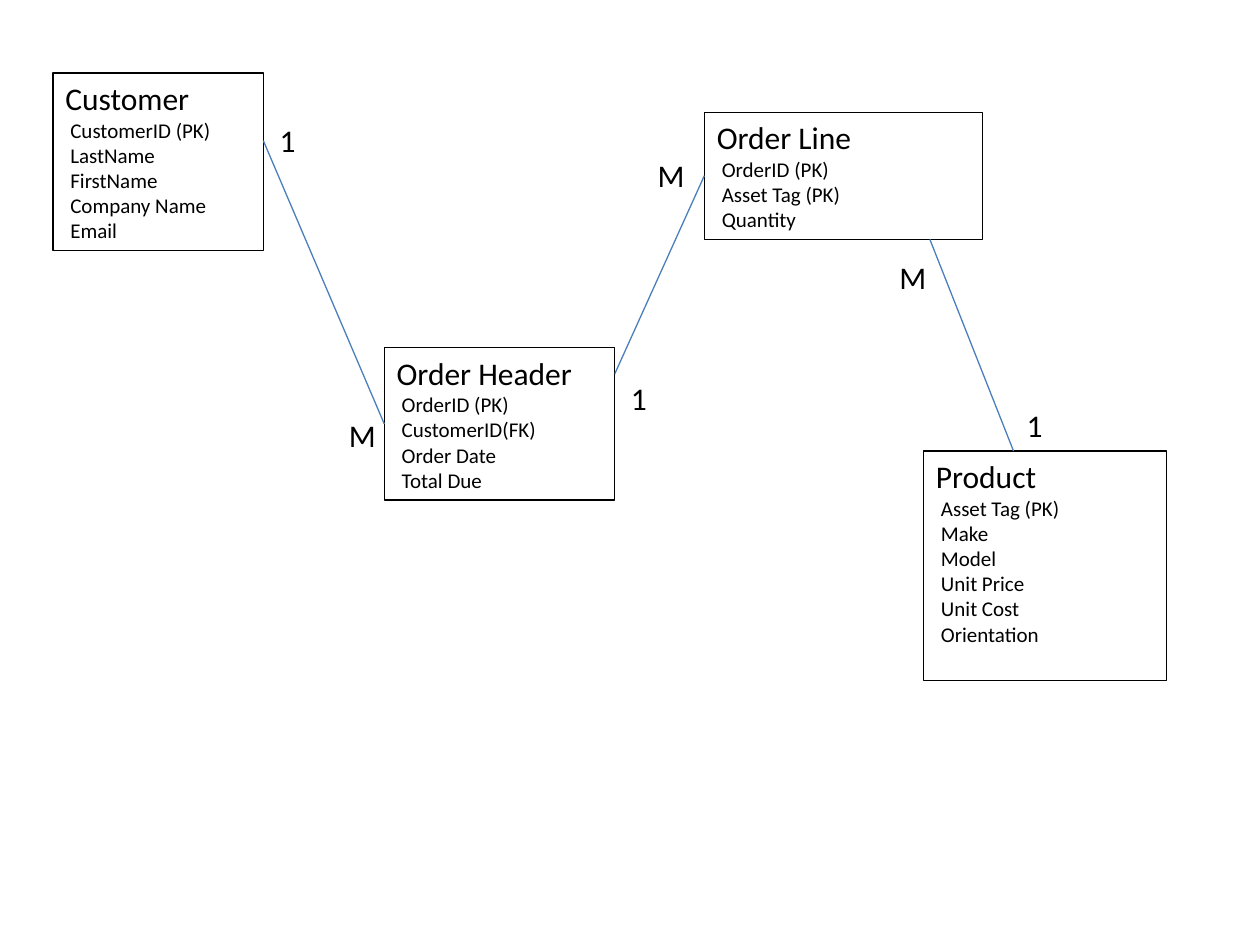
"""Builds an entity relationship diagram of customers, orders and products."""
from dataclasses import dataclass

from lxml.etree import SubElement
from pptx import Presentation
from pptx.dml.color import RGBColor
from pptx.enum.shapes import MSO_CONNECTOR, MSO_SHAPE
from pptx.enum.text import MSO_ANCHOR, PP_ALIGN
from pptx.oxml.ns import qn
from pptx.util import Inches, Pt


@dataclass(frozen=True)
class Theme:
    font: str = "Calibri"
    ink: RGBColor = RGBColor(0, 0, 0)
    link: RGBColor = RGBColor(0x4B, 0x7E, 0xBC)
    title: float = 18
    field: float = 12
    line: float = 0.75
    indent: float = 0.04


THEME = Theme()
LEFT_SITE = 1
NARROW, WIDE = (0.33, 0.4), (0.48, 0.42)

ENTITIES = {
    "Customer": ((0.42, 0.58, 1.67, 1.41),
                 ["CustomerID (PK)", "LastName", "FirstName", "Company Name", "Email"]),
    "Order Header": ((3.05, 2.76, 1.83, 1.21),
                     ["OrderID (PK)", "CustomerID(FK)", "Order Date", "Total Due"]),
    "Order Line": ((5.59, 0.89, 2.21, 1.01),
                   ["OrderID (PK)", "Asset Tag (PK)", "Quantity"]),
    "Product": ((7.33, 3.58, 1.93, 1.82),
                ["Asset Tag (PK)", "Make", "Model", "Unit Price", "Unit Cost", "Orientation"]),
}
RELATIONS = [
    (("Customer", 1, 0.38), ("Order Header", 0, 0.5)),
    (("Order Header", 1, 0.17), ("Order Line", 0, 0.5)),
    (("Order Line", 0.81, 1), ("Product", 0.37, 0)),
]
CARDINALITIES = [
    ("1", (2.12, 0.91), WIDE), ("M", (2.67, 3.25), NARROW),
    ("1", (4.91, 2.96), NARROW), ("M", (5.12, 1.19), WIDE),
    ("M", (7.04, 2), NARROW), ("1", (8.05, 3.17), NARROW),
]


def write(p, text, size):
    p.alignment = PP_ALIGN.LEFT
    r = p.add_run()
    r.text = text
    r.font.name, r.font.size = THEME.font, Pt(size)
    r.font.color.rgb = THEME.ink


def add_entity(slide, name, box, fields):
    sp = slide.shapes.add_shape(MSO_SHAPE.RECTANGLE, *map(Inches, box))
    sp.shadow.inherit = False
    sp.fill.background()
    sp.line.color.rgb, sp.line.width = THEME.ink, Pt(THEME.line)
    tf = sp.text_frame
    tf.word_wrap, tf.vertical_anchor = True, MSO_ANCHOR.TOP
    write(tf.paragraphs[0], name, THEME.title)
    for field in fields:
        p = tf.add_paragraph()
        p._p.get_or_add_pPr().set("marL", str(Inches(THEME.indent)))
        write(p, field, THEME.field)
    return sp


def anchor(sp, across, down):
    return int(sp.left + across * sp.width), int(sp.top + down * sp.height)


def add_relation(slide, shapes, start, end):
    (source, *begin), (target, *finish) = start, end
    cx = slide.shapes.add_connector(
        MSO_CONNECTOR.STRAIGHT,
        *anchor(shapes[source], *begin), *anchor(shapes[target], *finish))
    cx.line.color.rgb, cx.line.width = THEME.link, Pt(THEME.line)
    SubElement(cx._element.spPr, qn("a:effectLst"))
    if finish == [0, 0.5]:
        cx.end_connect(shapes[target], LEFT_SITE)


def add_cardinality(slide, text, corner, size):
    tb = slide.shapes.add_textbox(*map(Inches, corner + size))
    tb.text_frame.word_wrap = True
    write(tb.text_frame.paragraphs[0], text, THEME.title)


def main():
    prs = Presentation()
    prs.slide_width, prs.slide_height = Inches(10), Inches(7.5)
    slide = prs.slides.add_slide(prs.slide_layouts[6])
    shapes = {name: add_entity(slide, name, *entity) for name, entity in ENTITIES.items()}
    for relation in RELATIONS:
        add_relation(slide, shapes, *relation)
    for label in CARDINALITIES:
        add_cardinality(slide, *label)
    prs.save("out.pptx")


main()
